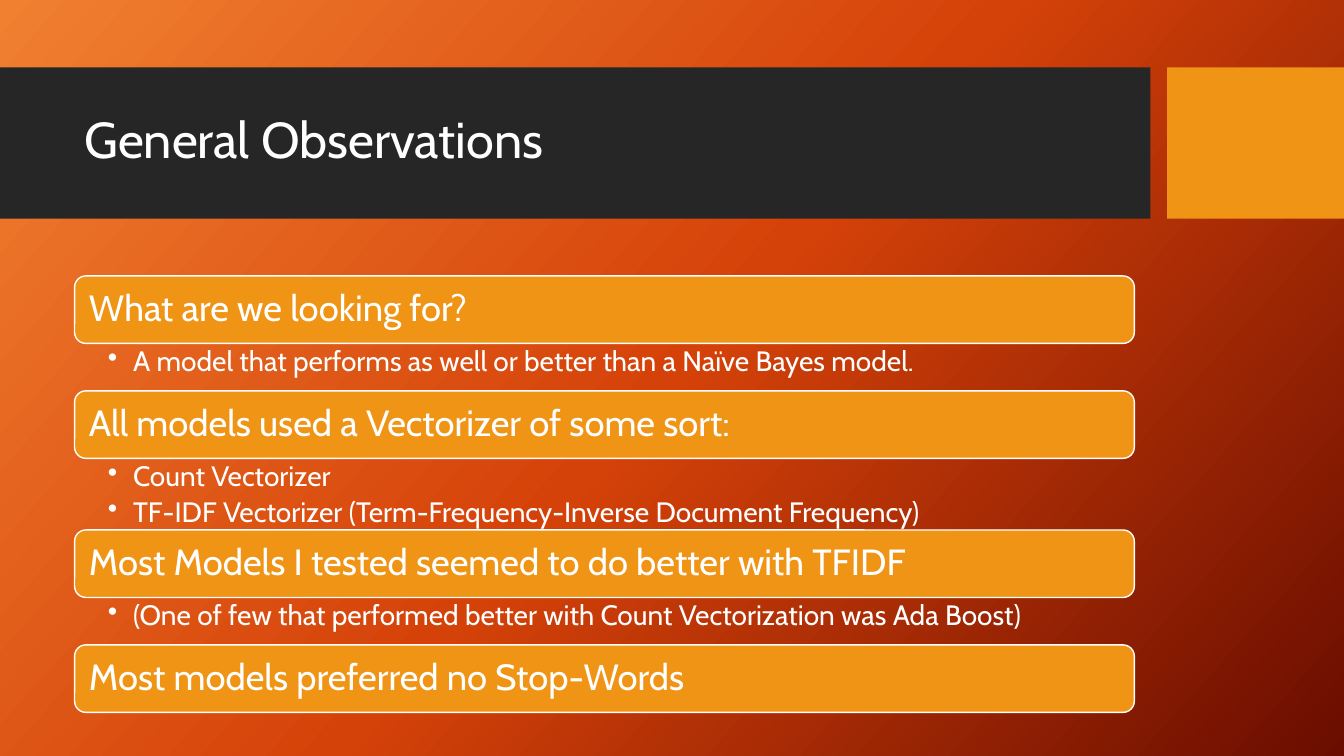
from copy import deepcopy

from lxml.etree import SubElement
from pptx import Presentation
from pptx.dml.color import RGBColor
from pptx.enum.shapes import MSO_SHAPE
from pptx.enum.text import MSO_ANCHOR, PP_ALIGN
from pptx.oxml.ns import qn
from pptx.util import Inches, Pt

ORANGE = RGBColor(0xF0, 0x94, 0x15)
CHARCOAL = RGBColor(0x26, 0x26, 0x26)
WHITE = RGBColor(0xFF, 0xFF, 0xFF)
GLOW = RGBColor(0xF1, 0x80, 0x31)
FLAME = RGBColor(0xD5, 0x42, 0x09)
EMBER = RGBColor(0x6A, 0x0D, 0x00)

BAND_TOP, BAND_HEIGHT = 8.93, 20
CONTENT_LEFT, CONTENT_WIDTH = 5.55, 78.85
LIST_TOP, BAR_HEIGHT = 36.5, 8.93
DETAIL_HEIGHTS = {0: 0, 1: 6.27, 2: 9.47}

OBSERVATIONS = [
    ("What are we looking for?",
     ["A model that performs as well or better than a Naïve Bayes model."]),
    ("All models used a Vectorizer of some sort:",
     ["Count Vectorizer",
      "TF-IDF Vectorizer (Term-Frequency-Inverse Document Frequency)"]),
    ("Most Models I tested seemed to do better with TFIDF",
     ["(One of few that performed better with Count Vectorization was Ada Boost)"]),
    ("Most models preferred no Stop-Words", []),
]


class SlideBuilder:
    """Draws styled elements on one slide, with boxes given in percent of its size."""

    font_name = "Cabin"

    def __init__(self, presentation):
        self.width = presentation.slide_width
        self.height = presentation.slide_height
        self.slide = presentation.slides.add_slide(presentation.slide_layouts[6])

    def place(self, left, top, width, height):
        return (round(self.width * left / 100), round(self.height * top / 100),
                round(self.width * width / 100), round(self.height * height / 100))

    def background(self, start, middle, end, angle):
        fill = self.slide.background.fill
        fill.gradient()
        fill.gradient_angle = 360 - angle
        stop_list = self.slide.element.find(".//" + qn("a:gsLst"))
        stop_list.insert(1, deepcopy(stop_list[0]))
        stops = zip(fill.gradient_stops, (start, middle, end), (0, 0.5, 1))
        for stop, color, position in stops:
            stop.color.rgb = color
            stop.position = position

    def block(self, box, color, kind=MSO_SHAPE.RECTANGLE, outline=None):
        shape = self.slide.shapes.add_shape(kind, *self.place(*box))
        shape.shadow.inherit = False
        shape.fill.solid()
        shape.fill.fore_color.rgb = color
        if outline is None:
            shape.line.fill.background()
        else:
            shape.line.color.rgb = outline
            shape.line.width = Pt(1)
        return shape

    def set_text(self, shape, lines, size, anchor, left=0.1, vertical=0.05,
                 space_after=0, bulleted=False):
        frame = shape.text_frame
        frame.word_wrap = True
        frame.vertical_anchor = anchor
        frame.margin_left = Inches(left)
        frame.margin_top = frame.margin_bottom = Inches(vertical)
        frame.text = "\n".join(lines)
        for paragraph in frame.paragraphs:
            paragraph.alignment = PP_ALIGN.LEFT
            paragraph.line_spacing = 0.9
            paragraph.space_after = Pt(space_after)
            paragraph.font.name = self.font_name
            paragraph.font.size = Pt(size)
            paragraph.font.color.rgb = WHITE
            if bulleted:
                self.bullet(paragraph)

    def bullet(self, paragraph):
        properties = paragraph._p.get_or_add_pPr()
        properties.set("marL", str(Inches(0.25)))
        properties.set("indent", str(-Inches(0.25)))
        bullet = SubElement(properties, qn("a:buChar"), char="•")
        properties.find(qn("a:defRPr")).addprevious(bullet)

    def title(self, box, text):
        shape = self.slide.shapes.add_textbox(*self.place(*box))
        self.set_text(shape, [text], 36, MSO_ANCHOR.MIDDLE)

    def heading_bar(self, box, text):
        shape = self.block(box, ORANGE, MSO_SHAPE.ROUNDED_RECTANGLE, WHITE)
        self.set_text(shape, [text], 26, MSO_ANCHOR.MIDDLE, left=0.11)

    def details(self, box, lines):
        shape = self.slide.shapes.add_textbox(*self.place(*box))
        self.set_text(shape, lines, 20, MSO_ANCHOR.TOP, left=0.33, vertical=0.04,
                      space_after=4, bulleted=True)


def main():
    presentation = Presentation()
    presentation.slide_width = Inches(13.33)
    presentation.slide_height = Inches(7.5)
    builder = SlideBuilder(presentation)

    builder.background(GLOW, FLAME, EMBER, 42)
    builder.block((0, BAND_TOP, 85.6, BAND_HEIGHT), CHARCOAL)
    builder.block((86.85, BAND_TOP, 13.15, BAND_HEIGHT), ORANGE)
    builder.title((CONTENT_LEFT, 10.93, CONTENT_WIDTH, 15.73), "General Observations")

    top = LIST_TOP
    for heading, lines in OBSERVATIONS:
        builder.heading_bar((CONTENT_LEFT, top, CONTENT_WIDTH, BAR_HEIGHT), heading)
        top += BAR_HEIGHT
        detail_height = DETAIL_HEIGHTS[len(lines)]
        if lines:
            builder.details((CONTENT_LEFT, top, CONTENT_WIDTH, detail_height), lines)
        top += detail_height

    presentation.save("out.pptx")


if __name__ == "__main__":
    main()
